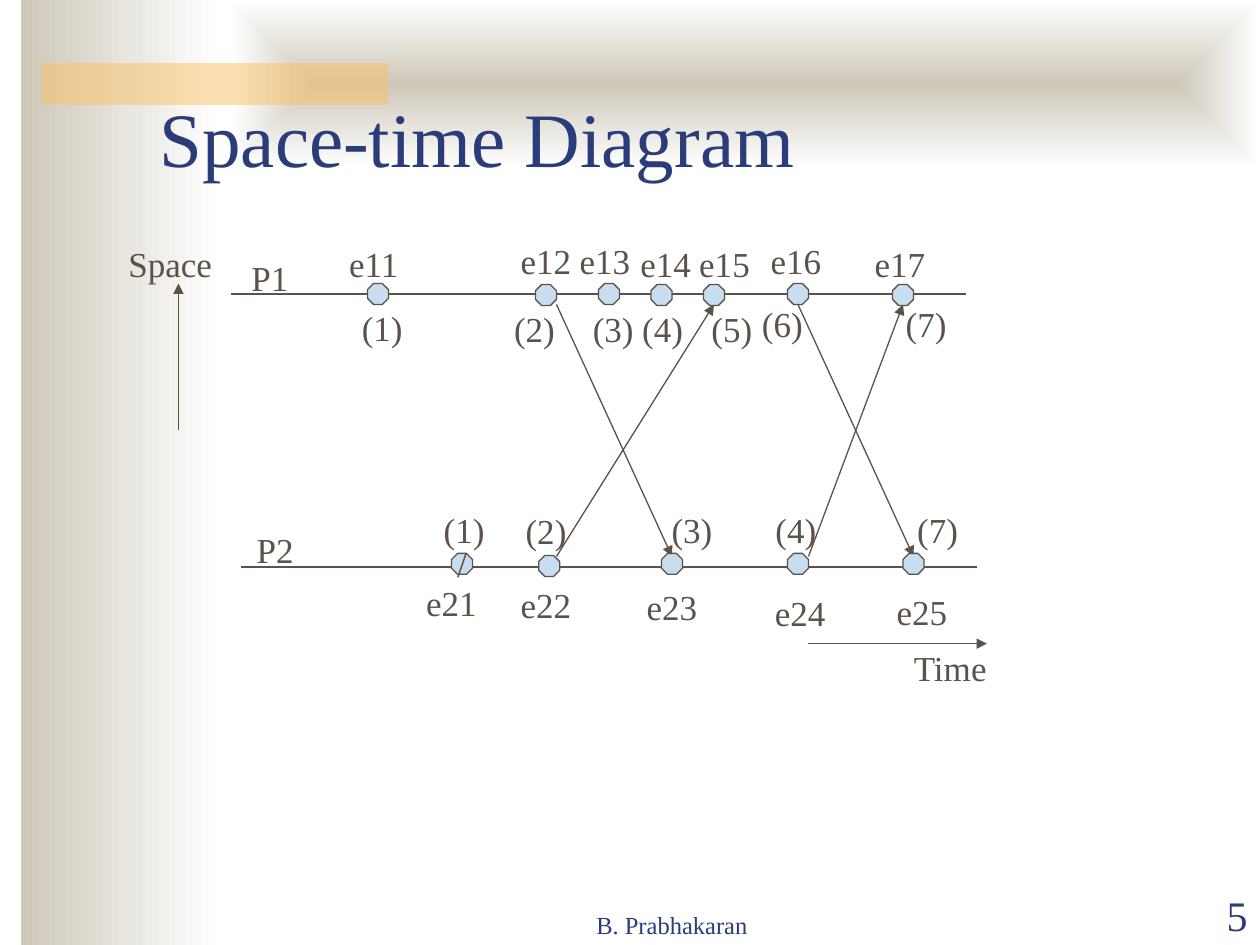
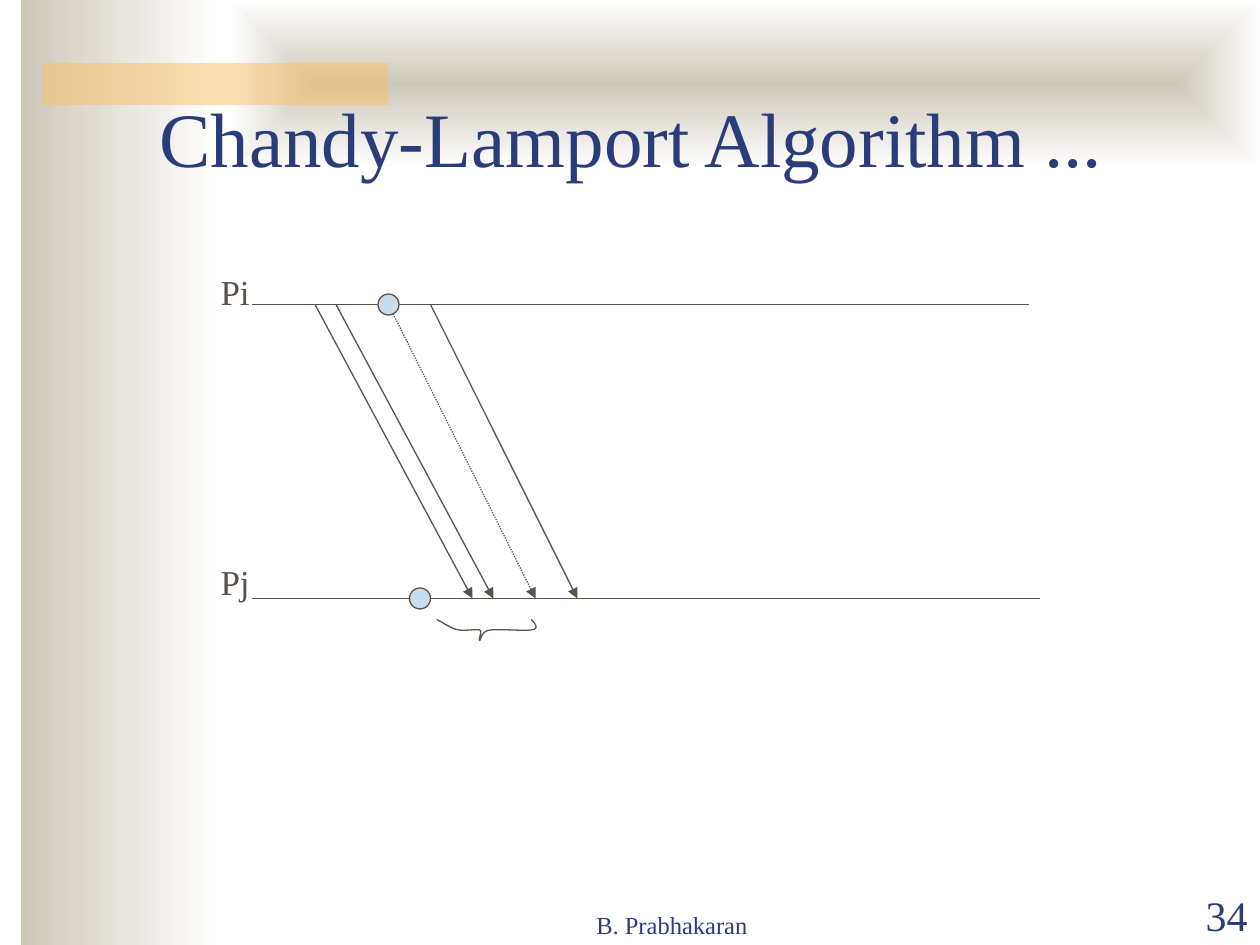
from dataclasses import dataclass

from lxml import etree
from pptx import Presentation
from pptx.dml.color import RGBColor
from pptx.enum.dml import MSO_LINE_DASH_STYLE as Dash
from pptx.enum.shapes import MSO_CONNECTOR as Connector, MSO_SHAPE as Preset
from pptx.enum.text import MSO_ANCHOR as Anchor, MSO_AUTO_SIZE as AutoSize, PP_ALIGN as Align
from pptx.oxml import parse_xml
from pptx.oxml.ns import nsdecls, qn
from pptx.util import Inches, Pt


@dataclass(frozen=True)
class Theme:
    font: str = "Times New Roman"
    navy: RGBColor = RGBColor.from_string("2A3D7A")
    brown: RGBColor = RGBColor.from_string("5B5249")
    node: RGBColor = RGBColor.from_string("C9DDF1")
    sand: RGBColor = RGBColor.from_string("CEC8BA")
    white: RGBColor = RGBColor.from_string("FFFFFF")
    orange: RGBColor = RGBColor.from_string("FAC164")
    title_size: Pt = Pt(44)
    number_size: Pt = Pt(24)
    label_size: Pt = Pt(20)
    footer_size: Pt = Pt(14)
    line_width: Pt = Pt(0.75)


theme = Theme()
presentation = Presentation()
presentation.slide_width, presentation.slide_height = Inches(10), Inches(7.5)

# Grid: 120 columns by 90 rows of equal square cells
CELL = presentation.slide_width // 120


def grid(*cells):
    return [round(cell * CELL) for cell in cells]


def write(shape, text, size, color, align=Align.CENTER, anchor=Anchor.MIDDLE,
          wrap=False, auto_size=AutoSize.NONE):
    frame = shape.text_frame
    for name, value in {"text": text, "word_wrap": wrap, "auto_size": auto_size,
                        "vertical_anchor": anchor}.items():
        setattr(frame, name, value)
    paragraph = frame.paragraphs[0]
    paragraph.alignment = align
    for name, value in {"name": theme.font, "size": size}.items():
        setattr(paragraph.font, name, value)
    paragraph.font.color.rgb = color


# Diagrams: positions are in grid cells, nodes and labels by their centres
space_time = {
    "title": "Space-time Diagram",
    "number": "5",
    "node_shape": Preset.OCTAGON,
    "axes": [(22, 28, 92, 28), (23, 54, 93, 54)],
    "arrows": [(53, 29, 64, 53), (53, 53, 68, 29), (76, 29, 87, 53), (77, 53, 86, 29),
               (77, 61.3, 94, 61.3), (17, 41, 17, 27)],
    "dotted": [],
    "nodes": [(36, 28), (52, 28.1), (58, 28), (63, 28.1), (68, 28.1), (76, 28), (86, 28.1),
              (44, 53.7, "/"), (52.3, 53.9), (64, 53.7), (76, 53.7), (87, 53.7)],
    "labels": [
        ("Space", 16.2, 25.1), ("Time", 90.5, 63.6), ("P1", 25.7, 26.4), ("P2", 26.2, 52.3),
        ("e11", 35.6, 25.1), ("e12", 52, 24.8), ("e13", 57.6, 24.8), ("e14", 63.4, 25.1),
        ("e15", 69, 25.1), ("e16", 75.8, 24.8), ("e17", 85.7, 25.1),
        ("(1)", 36.4, 31.2), ("(2)", 50.9, 31.3), ("(3)", 58.4, 31.3), ("(4)", 63.1, 31.3),
        ("(5)", 69.7, 31.3), ("(6)", 74.5, 30.8), ("(7)", 88.2, 30.8),
        ("(1)", 44.2, 50.4), ("(2)", 52, 50.5), ("(3)", 65.9, 50.4), ("(4)", 75.8, 50.4),
        ("(7)", 89.3, 50.4),
        ("e21", 43, 57.4), ("e22", 52, 57.6), ("e23", 64, 57.8), ("e24", 76.2, 58.3),
        ("e25", 87.8, 58.2)],
    "brace": [],
}
chandy_lamport = {
    "title": "Chandy-Lamport Algorithm ...",
    "number": "34",
    "node_shape": Preset.OVAL,
    "axes": [(24, 29, 98, 29), (24, 57, 99, 57)],
    "arrows": [(30, 29, 45, 57), (32, 29, 47, 57), (41, 29, 55, 57)],
    "dotted": [(37, 29, 51, 57)],
    "nodes": [(37, 29), (40, 57)],
    "labels": [("Pi", 22.4, 27.8), ("Pj", 22.4, 55.4)],
    # Start point, then two control points and an end point for each curve
    "brace": [(41.6, 59),
              (42.4, 59.4), (43, 59.9), (43.7, 60),
              (44.3, 60.1), (45.4, 59.9), (45.7, 60),
              (46, 60.1), (45.5, 61), (45.7, 61),
              (45.8, 61), (45.8, 60.1), (46.7, 60),
              (47.5, 59.9), (50, 60.1), (50.6, 60),
              (51.4, 59.9), (51, 59.4), (50.6, 59)],
}

for diagram in (space_time, chandy_lamport):
    slide = presentation.slides.add_slide(presentation.slide_layouts[5])
    shapes = slide.shapes

    # Background bands: side, top, accent
    side, top, accent = [
        shapes.add_shape(Preset.RECTANGLE, *grid(*box))
        for box in ((2, 0, 19, 90), (22, 0, 98, 16), (4, 6, 33, 4))]
    for band in (side, top, accent):
        band.shadow.inherit = False
        band.line.fill.background()
    for band in (side, top):
        band.fill.gradient()
        band.fill.gradient_angle = 0
        for stop, color in zip(band.fill.gradient_stops, (theme.sand, theme.white)):
            stop.color.rgb = color
    direction = top.element.spPr.find(".//" + qn("a:lin"))
    direction.getparent().replace(direction, parse_xml(
        f'<a:path {nsdecls("a")} path="rect">'
        '<a:fillToRect l="50000" t="50000" r="50000" b="50000"/></a:path>'))
    accent.fill.solid()
    accent.fill.fore_color.rgb = theme.orange
    accent_color = accent.element.spPr.find(".//" + qn("a:srgbClr"))
    etree.SubElement(accent_color, qn("a:alpha"), val="50000")

    # Footer, slide number and title, in front of the bands
    footer = shapes.add_textbox(*grid(45, 84.1, 38, 6))
    write(footer, "B. Prabhakaran", theme.footer_size, theme.navy, anchor=Anchor.BOTTOM, wrap=True)
    number = shapes.add_textbox(*grid(108, 84.1, 12, 6))
    write(number, diagram["number"], theme.number_size, theme.navy, Align.RIGHT, Anchor.BOTTOM, True)
    title = shapes.title
    title.left, title.top, title.width, title.height = grid(14, 3, 102, 15)
    write(title, diagram["title"], theme.title_size, theme.navy, Align.LEFT, Anchor.BOTTOM, True)
    shapes.element.append(title.element)

    # Process axes and message arrows
    for kind in ("axes", "arrows", "dotted"):
        for ends in diagram[kind]:
            connector = shapes.add_connector(Connector.STRAIGHT, *grid(*ends))
            connector.line.color.rgb = theme.brown
            connector.line.width = theme.line_width
            if kind == "dotted":
                connector.line.dash_style = Dash.ROUND_DOT
            properties = connector.element.spPr
            if kind != "axes":
                etree.SubElement(properties.find(qn("a:ln")), qn("a:tailEnd"), type="triangle")
            etree.SubElement(properties, qn("a:effectLst"))

    # Event nodes
    outlined = []
    for x, y, *mark in diagram["nodes"]:
        node = shapes.add_shape(diagram["node_shape"], *grid(x - 1, y - 1, 2, 2))
        node.fill.solid()
        node.fill.fore_color.rgb = theme.node
        outlined.append(node)
        if mark:
            write(node, mark[0], theme.label_size, theme.brown)

    # Brace, sampled along its cubic curves
    brace_points = diagram["brace"]
    if brace_points:
        builder = shapes.build_freeform(*grid(*brace_points[0]))
        samples = []
        for first in range(0, len(brace_points) - 1, 3):
            curve = brace_points[first:first + 4]
            for step in range(1, 9):
                t = step / 8
                weights = ((1 - t) ** 3, 3 * t * (1 - t) ** 2, 3 * t ** 2 * (1 - t), t ** 3)
                samples.append(grid(*(sum(w * point[axis] for w, point in zip(weights, curve))
                                      for axis in (0, 1))))
        builder.add_line_segments(samples, close=False)
        brace = builder.convert_to_shape()
        brace.fill.background()
        outlined.append(brace)

    for shape in outlined:
        shape.shadow.inherit = False
        shape.line.color.rgb = theme.brown
        shape.line.width = theme.line_width

    # Process, event and clock labels, each box as wide as its text needs
    for text, x, y in diagram["labels"]:
        width, height = 2.4 + 1.8 * len(text), 5.3
        label = shapes.add_textbox(*grid(x - width / 2, y - height / 2, width, height))
        write(label, text, theme.label_size, theme.brown, auto_size=AutoSize.SHAPE_TO_FIT_TEXT)

presentation.save("out.pptx")
